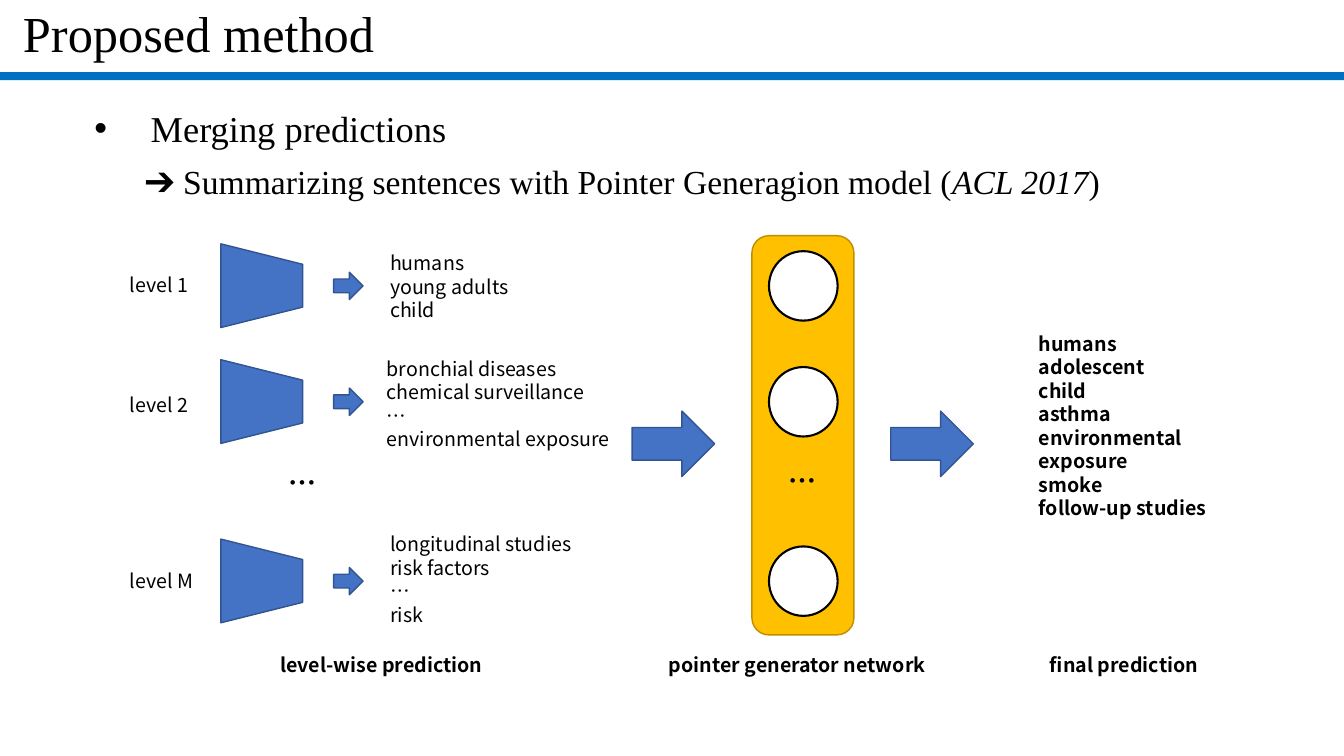
import pptx
import pptx.util
import pptx.dml.color
import pptx.enum.shapes
import pptx.enum.text
import pptx.oxml.ns
import lxml.etree

Cm = pptx.util.Cm
Pt = pptx.util.Pt
RGBColor = pptx.dml.color.RGBColor
SHAPE = pptx.enum.shapes.MSO_SHAPE
ALIGN = pptx.enum.text.PP_ALIGN
qn = pptx.oxml.ns.qn

BLACK = RGBColor(0x00, 0x00, 0x00)
WHITE = RGBColor(0xFF, 0xFF, 0xFF)
RULE_BLUE = RGBColor(0x00, 0x70, 0xC0)
BLUE = RGBColor(0x44, 0x72, 0xC4)
DARK_BLUE = RGBColor(0x32, 0x54, 0x91)
GOLD = RGBColor(0xFF, 0xC0, 0x00)
DARK_GOLD = RGBColor(0xBD, 0x8E, 0x00)


class Deck:
    heading_font = "Times New Roman"
    label_font = "Noto Sans CJK KR"

    def __init__(self, prs):
        self.s = prs.slides.add_slide(prs.slide_layouts[6])

    def style(self, p, font, size, bold=False):
        for r in p.runs:
            r.font.name = font
            r.font.size = Pt(size)
            r.font.bold = bold
            r.font.color.rgb = BLACK
            ea = lxml.etree.SubElement(r.font._element, qn("a:ea"))
            ea.set("typeface", font)

    def shape(self, kind, left, top, width, height, fill, line=None, weight=1, rotation=0):
        sp = self.s.shapes.add_shape(kind, Cm(left), Cm(top), Cm(width), Cm(height))
        sp.shadow.inherit = False
        sp.rotation = rotation
        sp.fill.solid()
        sp.fill.fore_color.rgb = fill
        if line is None:
            sp.line.fill.background()
        else:
            sp.line.color.rgb = line
            sp.line.width = Pt(weight)
        return sp

    def arrow(self, left, top, width, height):
        self.shape(SHAPE.RIGHT_ARROW, left, top, width, height, BLUE, DARK_BLUE)

    def label(self, text, left, top, width, height, size=14, bold=False):
        sp = self.s.shapes.add_textbox(Cm(left), Cm(top), Cm(width), Cm(height))
        tf = sp.text_frame
        tf.word_wrap = False
        tf.auto_size = pptx.enum.text.MSO_AUTO_SIZE.SHAPE_TO_FIT_TEXT
        tf.text = text
        for p in tf.paragraphs:
            self.style(p, self.label_font, size, bold)

    def title(self, text):
        sp = self.s.shapes.add_textbox(Cm(0.33), Cm(0.08), Cm(32.41), Cm(1.68))
        tf = sp.text_frame
        tf.word_wrap = True
        tf.vertical_anchor = pptx.enum.text.MSO_ANCHOR.MIDDLE
        tf.text = text
        p = tf.paragraphs[0]
        p.alignment = ALIGN.JUSTIFY
        p.line_spacing = 0.9
        self.style(p, self.heading_font, 36)

    def body(self, point, detail, source):
        sp = self.s.shapes.add_textbox(Cm(0.86), Cm(2.44), Cm(31.95), Cm(3.12))
        tf = sp.text_frame
        tf.word_wrap = True
        tf.text = point
        p = tf.add_paragraph()
        p.text = detail
        for text in (source, ")"):
            r = p.add_run()
            r.text = text
            r.font.italic = text == source
        for p, size, margin, indent in zip(tf.paragraphs, (26, 24), (2.69, 2.54), (-1.42, 0)):
            p.alignment = ALIGN.JUSTIFY
            p.line_spacing = 1.1
            p.space_before = Pt(5)
            self.style(p, self.heading_font, size)
            pPr = p._p.get_or_add_pPr()
            pPr.set("marL", str(Cm(margin)))
            pPr.set("indent", str(Cm(indent)))
            if indent:
                font = lxml.etree.SubElement(pPr, qn("a:buFont"))
                font.set("typeface", "Arial")
                bullet = lxml.etree.SubElement(pPr, qn("a:buChar"))
                bullet.set("char", "•")


def main():
    prs = pptx.Presentation()
    prs.slide_width = Cm(33.87)
    prs.slide_height = Cm(19.05)
    deck = Deck(prs)

    deck.title("Proposed method")
    deck.body("Merging predictions",
              "➔ Summarizing sentences with Pointer Generagion model (", "ACL 2017")
    deck.shape(SHAPE.RECTANGLE, 0, 1.82, 33.87, 0.2, RULE_BLUE)

    deck.shape(SHAPE.ROUNDED_RECTANGLE, 18.95, 5.94, 2.57, 10.06, GOLD, DARK_GOLD)
    levels = [
        ("level 1", 6.17, 6.76, 2.11,
         "humans\nyoung adults\nchild", 9.58, 6.2, 3.66, 2.08),
        ("level 2", 9.09, 9.78, 2.11,
         "bronchial diseases\nchemical surveillance\n…\nenvironmental exposure",
         9.5, 8.86, 6.3, 2.69),
        ("level M", 13.61, 14.2, 2.29,
         "longitudinal studies\nrisk factors\n…\nrisk", 9.58, 13.28, 5.26, 2.69),
    ]
    for name, top, name_top, name_width, terms, *terms_box in levels:
        deck.label(name, 3.02, name_top, name_width, 0.86)
        deck.shape(SHAPE.TRAPEZOID, 5.54, top, 2.11, 2.06, BLUE, DARK_BLUE, rotation=90)
        deck.arrow(8.41, top + 0.69, 0.74, 0.69)
        deck.label(terms, *terms_box)
        deck.shape(SHAPE.OVAL, 19.38, top + 0.16, 1.73, 1.75, WHITE, BLACK, 1.5)

    for left, top in ((7.01, 11.61), (19.63, 11.56)):
        deck.label("…", left, top, 1.19, 1.12, 20, True)
    for left in (15.93, 22.45):
        deck.arrow(left, 10.36, 2.08, 1.65)

    deck.label("humans\nadolescent\nchild\nasthma\nenvironmental\nexposure\nsmoke\nfollow-up studies",
               25.93, 8.23, 4.93, 5.13, bold=True)
    captions = [("level-wise prediction", 6.81, 5.74),
                ("pointer generator network", 16.61, 7.24),
                ("final prediction", 26.21, 4.37)]
    for text, left, width in captions:
        deck.label(text, left, 16.34, width, 0.86, bold=True)

    prs.save("out.pptx")


if __name__ == "__main__":
    main()
